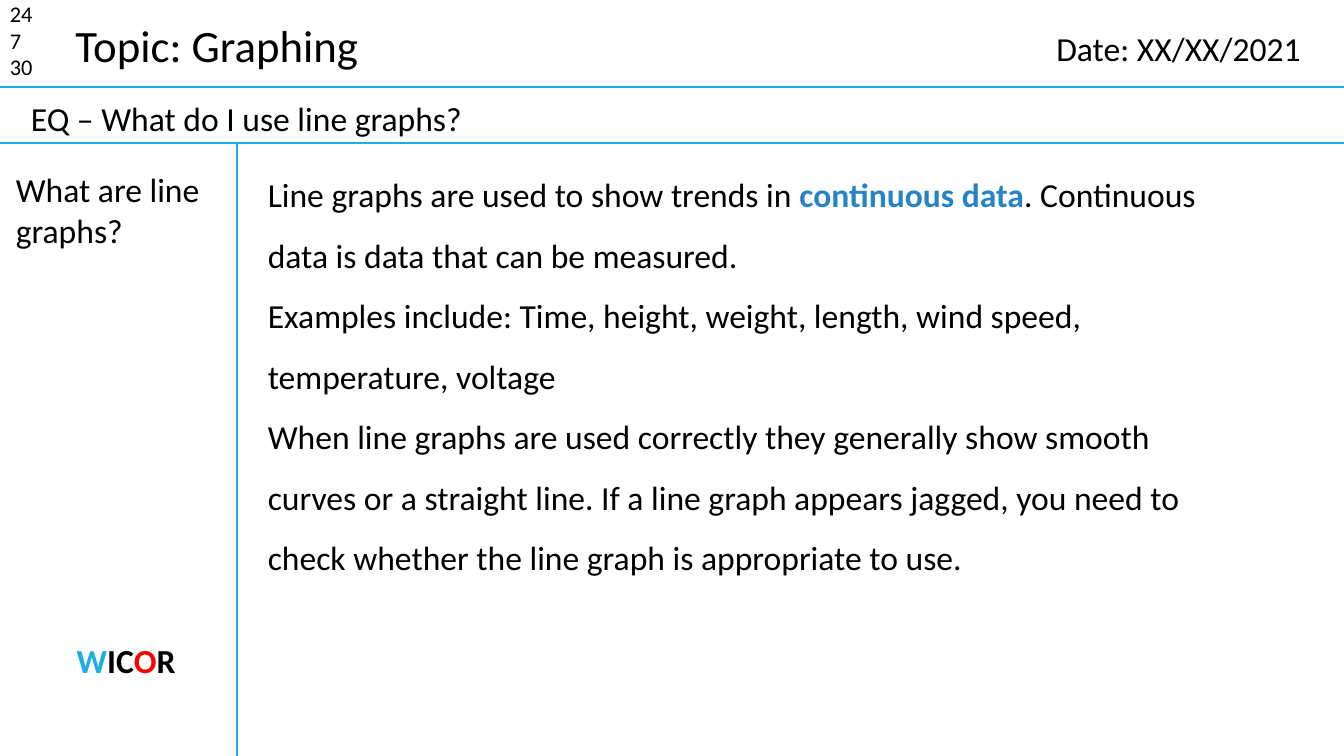
from dataclasses import dataclass

from lxml.etree import SubElement
from pptx import Presentation
from pptx.dml.color import RGBColor
from pptx.enum.shapes import MSO_CONNECTOR
from pptx.enum.text import MSO_AUTO_SIZE, PP_ALIGN
from pptx.oxml.ns import qn
from pptx.util import Cm, Pt


@dataclass(frozen=True)
class Theme:
    font: str = "Calibri"
    text: RGBColor = RGBColor(0x00, 0x00, 0x00)
    rule: RGBColor = RGBColor(0x1C, 0xAD, 0xE4)
    key_term: RGBColor = RGBColor(0x26, 0x83, 0xC6)
    alert: RGBColor = RGBColor(0xFF, 0x00, 0x00)
    small: Pt = Pt(16)
    body: Pt = Pt(24)
    title: Pt = Pt(32)
    rule_width: Pt = Pt(1.5)


theme = Theme()

PAGE_WIDTH, PAGE_HEIGHT = 33.87, 19.05
HEADER_BOTTOM, QUESTION_BOTTOM, MARGIN_RIGHT = 2.2, 3.6, 5.97

deck = Presentation()
deck.slide_width, deck.slide_height = Cm(PAGE_WIDTH), Cm(PAGE_HEIGHT)
page = deck.slides.add_slide(deck.slide_layouts[6])


def add_rule(x1, y1, x2, y2):
    rule = page.shapes.add_connector(
        MSO_CONNECTOR.STRAIGHT, Cm(x1), Cm(y1), Cm(x2), Cm(y2))
    rule.line.color.rgb = theme.rule
    rule.line.width = theme.rule_width
    SubElement(rule._element.spPr, qn("a:effectLst"))


def add_text(left, top, width, height, paragraphs, size=theme.body,
             align=PP_ALIGN.LEFT, spacing=1.0, wrap=True):
    """Each paragraph is a list of (text, colour, bold) runs."""
    box = page.shapes.add_textbox(Cm(left), Cm(top), Cm(width), Cm(height))
    frame = box.text_frame
    frame.word_wrap = wrap
    frame.auto_size = MSO_AUTO_SIZE.SHAPE_TO_FIT_TEXT
    for index, runs in enumerate(paragraphs):
        para = frame.add_paragraph() if index else frame.paragraphs[0]
        para.alignment = align
        para.line_spacing = spacing
        for text, color, bold in runs:
            span = para.add_run()
            span.text = text
            span.font.name = theme.font
            span.font.size = size
            span.font.bold = bold
            span.font.color.rgb = color


# Note-page rules
add_rule(0, HEADER_BOTTOM, PAGE_WIDTH, HEADER_BOTTOM)
add_rule(0, QUESTION_BOTTOM, PAGE_WIDTH, QUESTION_BOTTOM)
add_rule(MARGIN_RIGHT, QUESTION_BOTTOM, MARGIN_RIGHT, PAGE_HEIGHT)

# Header and essential question
add_text(0, -0.13, 1.6, 2.31,
         [[(number, theme.text, False)] for number in ("24", "7", "30")],
         size=theme.small)
add_text(1.65, 0.33, 7.72, 1.62, [[("Topic: Graphing", theme.text, False)]],
         size=theme.title, wrap=False)
add_text(26.37, 0.58, 6.7, 1.28, [[("Date: XX/XX/2021", theme.text, False)]])
add_text(0.53, 2.34, 21.64, 1.28,
         [[("EQ – What do I use line graphs?", theme.text, False)]])

# Left margin
add_text(0.15, 4.14, 6.02, 2.31,
         [[("What are line graphs?", theme.text, False)]])
add_text(0.36, 16, 5.64, 1.28,
         [[("W", theme.rule, True), ("IC", theme.text, True),
           ("O", theme.alert, True), ("R", theme.text, True)]],
         align=PP_ALIGN.CENTER)

# Notes
add_text(6.5, 3.76, 25.12, 10.87, [
    [("Line graphs are used to show trends in ", theme.text, False),
     ("continuous data", theme.key_term, True),
     (". Continuous data is data that can be measured.", theme.text, False)],
    [("Examples include: Time, height, weight, length, wind speed, "
      "temperature, voltage", theme.text, False)],
    [("When line graphs are used correctly they generally show smooth curves "
      "or a straight line. If a line graph appears jagged, you need to check "
      "whether the line graph is appropriate to use.", theme.text, False)],
], spacing=1.5)

deck.save("out.pptx")
